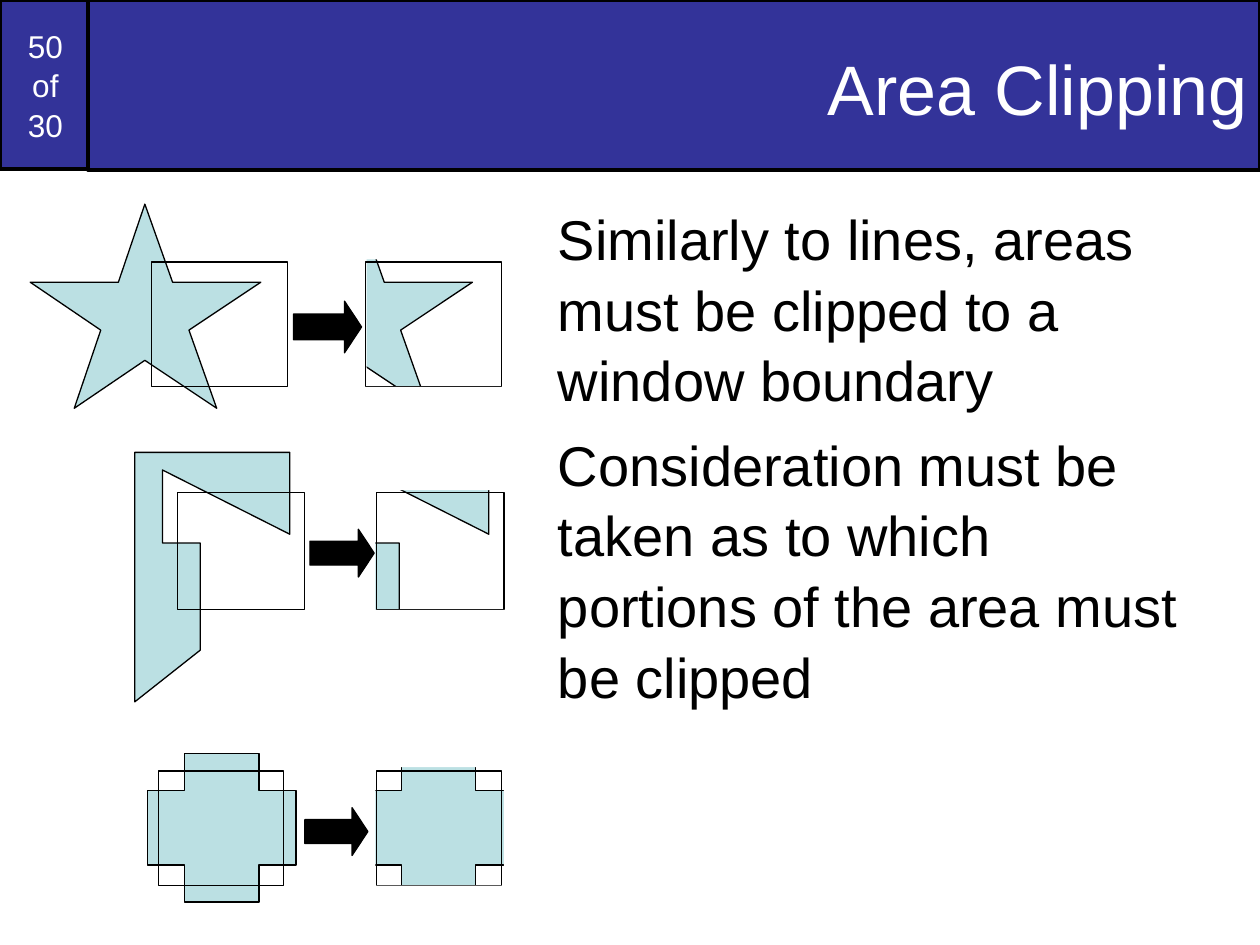
from pptx import Presentation
from pptx.dml.color import RGBColor
from pptx.enum import shapes, text
from pptx.util import Inches, Pt

NAVY = RGBColor(0x33, 0x33, 0x99)
AQUA = RGBColor(0xBB, 0xE0, 0xE3)
WHITE = RGBColor(0xFF, 0xFF, 0xFF)
BLACK = RGBColor(0, 0, 0)
FONT = "Arial"
PRESET = shapes.MSO_SHAPE

STAR = [(0.24, 2.24), (0.94, 2.24), (1.15, 1.62), (1.37, 2.24), (2.07, 2.24),
        (1.5, 2.62), (1.72, 3.24), (1.15, 2.86), (0.59, 3.24), (0.8, 2.62)]
BRACKET = [(1.07, 5.57), (1.07, 3.59), (2.3, 3.59), (2.3, 4.24), (1.29, 3.73),
           (1.29, 4.31), (1.59, 4.31), (1.59, 5.16)]
CROSS = (1.17, 5.98, 1.18, 1.18)

EXAMPLES = [
    dict(area=STAR, shift=1.68, window=(1.2, 2.08, 1.08, 0.99), window_shift=1.7,
         arrow=(2.33, 2.39, 0.54, 0.41),
         left_cover=(1.86, 1.66, 1.05, 2.24),
         covers=[(2.54, 1.59, 1.46, 0.47), (2.55, 3.07, 1.46, 0.52)]),
    dict(area=CROSS, shift=1.72, window=(1.26, 6.12, 0.99, 0.91), window_shift=1.73,
         arrow=(2.42, 6.41, 0.5, 0.38),
         left_cover=(2.55, 5.74, 0.43, 1.54),
         covers=[(2.64, 5.83, 1.34, 0.26), (2.66, 7.03, 1.34, 0.3),
                 (4, 5.71, 0.43, 1.6)]),
    dict(area=BRACKET, shift=1.58, window=(1.41, 3.91, 1.01, 0.93), window_shift=1.58,
         arrow=(2.46, 4.2, 0.51, 0.38),
         left_cover=(2.54, 3.53, 0.44, 2.09),
         covers=[(2.62, 3.45, 1.37, 0.44), (2.66, 4.84, 1.36, 0.49)]),
]


def paint(shape, fill=None, line=BLACK, weight=0.75):
    if fill is None:
        shape.fill.background()
    else:
        shape.fill.solid()
        shape.fill.fore_color.rgb = fill
    if line is None:
        shape.line.fill.background()
    else:
        shape.line.color.rgb = line
        shape.line.width = Pt(weight)
    shape.shadow.inherit = False


def add_preset(parent, preset, box, **look):
    shape = parent.add_shape(preset, *map(Inches, box))
    paint(shape, **look)
    return shape


def add_area(parent, area, shift=0):
    if area is CROSS:
        left, *rest = area
        add_preset(parent, PRESET.CROSS, (left + shift, *rest), fill=AQUA)
        return
    corners = [(Inches(x + shift), Inches(y)) for x, y in area]
    builder = parent.build_freeform(*corners[0])
    builder.add_line_segments(corners[1:], close=True)
    paint(builder.convert_to_shape(), fill=AQUA)


def add_example(slide, area, shift, window, window_shift, arrow, left_cover, covers):
    parts = slide.shapes.add_group_shape().shapes
    add_area(parts, area, shift)
    add_preset(parts, PRESET.RECTANGLE, left_cover, fill=WHITE, line=None)
    add_area(parts, area)
    left, *rest = window
    for offset in (0, window_shift):
        add_preset(parts, PRESET.RECTANGLE, (left + offset, *rest))
    for cover in covers:
        add_preset(parts, PRESET.RECTANGLE, cover, fill=WHITE, line=None)
    pointer = add_preset(parts, PRESET.RIGHT_ARROW, arrow, fill=BLACK)
    pointer.adjustments[1] = 0.33


def write(shape, paragraphs, size, color, align, anchor, spacing=1.05):
    frame = shape.text_frame
    frame.text = "\n".join(paragraphs)
    settings = dict(word_wrap=True, vertical_anchor=anchor,
                    auto_size=text.MSO_AUTO_SIZE.NONE,
                    margin_left=Inches(0.1), margin_right=Inches(0.1),
                    margin_top=Inches(0.05), margin_bottom=Inches(0.05))
    for name, value in settings.items():
        setattr(frame, name, value)
    for index, paragraph in enumerate(frame.paragraphs):
        paragraph.alignment = align
        paragraph.line_spacing = spacing
        paragraph.space_before = Pt(8 if index else 0)
        for run in paragraph.runs:
            for name, value in dict(name=FONT, size=Pt(size)).items():
                setattr(run.font, name, value)
            run.font.color.rgb = color


def add_header(slide):
    counter = add_preset(slide.shapes, PRESET.RECTANGLE, (0, 0, 0.72, 1.34),
                         fill=NAVY, weight=2)
    write(counter, ["\v".join(["50", "of", "30"])], 18, WHITE,
          text.PP_ALIGN.CENTER, text.MSO_ANCHOR.MIDDLE)
    title = slide.shapes.title
    place = dict(left=0.7, top=0, width=9.3, height=1.35)
    for name, value in place.items():
        setattr(title, name, Inches(value))
    fill_and_line = dict(fill=NAVY, weight=2)
    paint(title, **fill_and_line)
    write(title, ["Area Clipping"], 40, WHITE,
          text.PP_ALIGN.RIGHT, text.MSO_ANCHOR.MIDDLE)
    counter._element.addnext(title._element)


def add_body(slide):
    body = slide.shapes.add_textbox(*map(Inches, (4.33, 1.55, 5.17, 5.75)))
    write(body, ["Similarly to lines, areas must be clipped to a window boundary",
                 "Consideration must be taken as to which portions of the area "
                 "must be clipped"],
          32, BLACK, text.PP_ALIGN.LEFT, text.MSO_ANCHOR.TOP)


def main():
    deck = Presentation()
    deck.slide_width, deck.slide_height = Inches(10), Inches(7.5)
    slide = deck.slides.add_slide(deck.slide_layouts[5])
    add_header(slide)
    for example in EXAMPLES:
        add_example(slide, **example)
    add_body(slide)
    deck.save("out.pptx")


if __name__ == "__main__":
    main()
